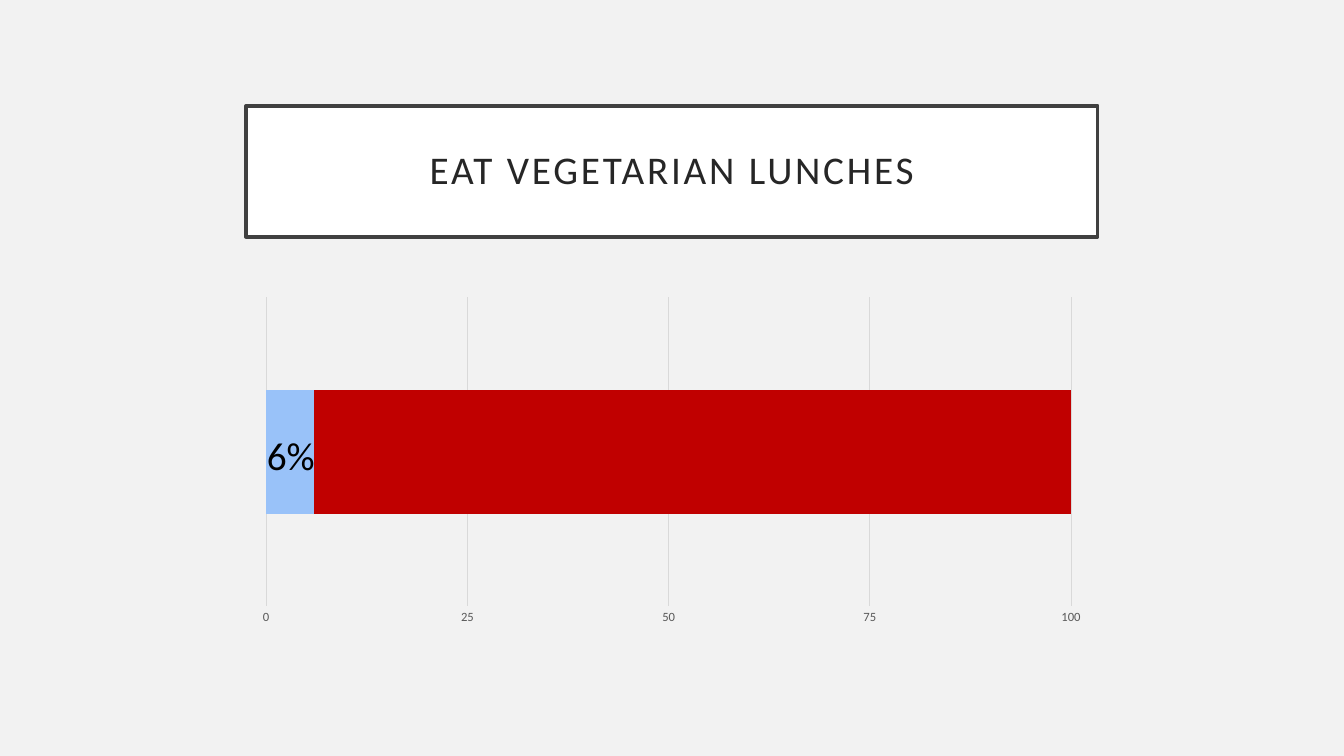
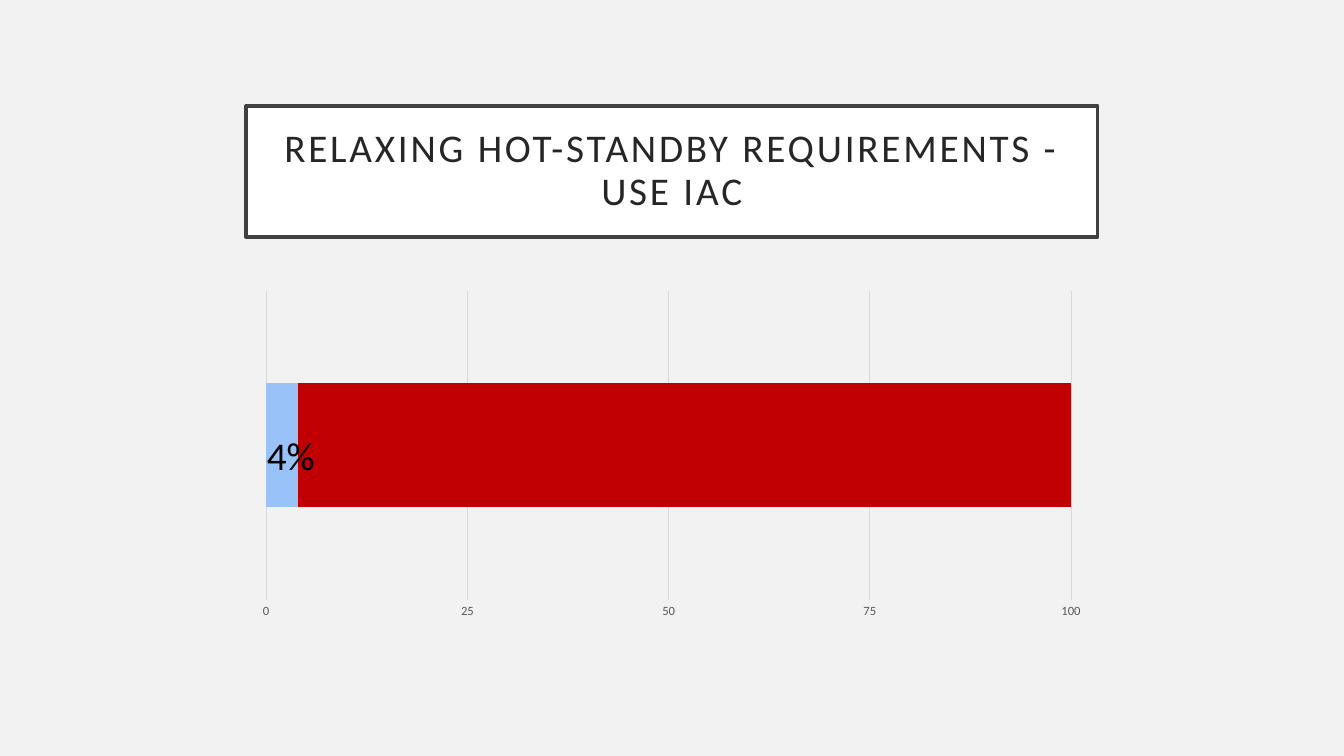
from pptx import Presentation
from pptx.chart.data import CategoryChartData
from pptx.dml.color import RGBColor
from pptx.enum.chart import XL_CHART_TYPE as ChartType, XL_TICK_MARK as TickMark
from pptx.enum.shapes import MSO_SHAPE as Shape
from pptx.enum.text import MSO_ANCHOR as Anchor, PP_ALIGN as Align
from pptx.util import Pt

BACKGROUND = RGBColor(0xF2, 0xF2, 0xF2)
WHITE = RGBColor(0xFF, 0xFF, 0xFF)
BLACK = RGBColor(0x00, 0x00, 0x00)
FRAME = RGBColor(0x40, 0x40, 0x40)
TITLE_TEXT = RGBColor(0x26, 0x26, 0x26)
AXIS_TEXT = RGBColor(0x59, 0x59, 0x59)
GRID = RGBColor(0xD9, 0xD9, 0xD9)
BLUE = RGBColor(0x99, 0xC2, 0xF9)
RED = RGBColor(0xC0, 0x00, 0x00)

FONT = "Calibri"
LEFT, WIDTH = 175.7, 608.4
TITLE_TOP, TITLE_HEIGHT = 75.6, 93.6
CHART_HEIGHT = 244
LABEL_BOX = (183.6, 304.6, 64, 41)

# title, percentage, top of the chart
SLIDES = [
    ("EAT VEGETARIAN LUNCHES", 6, 207.4),
    ("RELAXING HOT-STANDBY REQUIREMENTS - USE IAC", 4, 202.8),
]


def set_font(font, size, color):
    font.name = FONT
    font.size = Pt(size)
    font.color.rgb = color


def add_title(s, text, left, top, width, height):
    sp = s.shapes.add_shape(Shape.RECTANGLE, Pt(left), Pt(top), Pt(width), Pt(height))
    sp.shadow.inherit = False
    sp.fill.solid()
    sp.fill.fore_color.rgb = WHITE
    sp.line.color.rgb = FRAME
    sp.line.width = Pt(2.5)
    tf = sp.text_frame
    tf.word_wrap = True
    tf.vertical_anchor = Anchor.MIDDLE
    tf.margin_left = tf.margin_right = tf.margin_top = tf.margin_bottom = Pt(14.4)
    tf.text = text
    p = tf.paragraphs[0]
    p.alignment = Align.CENTER
    p.line_spacing = 0.9
    r = p.runs[0]
    set_font(r.font, 28, TITLE_TEXT)
    r.font._element.set("spc", "200")


def add_share_bar(s, percent, left, top, width, height):
    """One stacked bar that splits 100 into the share and the rest."""
    data = CategoryChartData()
    data.categories = ["1"]
    data.add_series("Series 1", [percent])
    data.add_series("Series 2", [100 - percent])
    chart = s.shapes.add_chart(ChartType.BAR_STACKED, Pt(left), Pt(top),
                               Pt(width), Pt(height), data).chart
    set_font(chart.font, 10, BLACK)
    chart.has_legend = False
    chart.has_title = False
    chart.category_axis.visible = False

    axis = chart.value_axis
    axis.minimum_scale, axis.maximum_scale, axis.major_unit = 0, 100, 25
    axis.major_tick_mark = axis.minor_tick_mark = TickMark.NONE
    axis.format.line.fill.background()
    set_font(axis.tick_labels.font, 9, AXIS_TEXT)
    grid = axis.major_gridlines.format.line
    grid.color.rgb = GRID
    grid.width = Pt(0.75)

    plot = chart.plots[0]
    plot.vary_by_categories = False
    plot.gap_width, plot.overlap = 150, 100
    for series, color in zip(plot.series, (BLUE, RED)):
        series.format.fill.solid()
        series.format.fill.fore_color.rgb = color


def add_label(s, text, left, top, width, height):
    tf = s.shapes.add_textbox(Pt(left), Pt(top), Pt(width), Pt(height)).text_frame
    tf.word_wrap = True
    tf.text = text
    set_font(tf.paragraphs[0].runs[0].font, 28, BLACK)


def add_share_slide(prs, title, percent, chart_top):
    s = prs.slides.add_slide(prs.slide_layouts[6])
    s.background.fill.solid()
    s.background.fill.fore_color.rgb = BACKGROUND
    add_share_bar(s, percent, LEFT, chart_top, WIDTH, CHART_HEIGHT)
    add_title(s, title, LEFT, TITLE_TOP, WIDTH, TITLE_HEIGHT)
    add_label(s, f"{percent}%", *LABEL_BOX)


def main():
    prs = Presentation()
    prs.slide_width, prs.slide_height = Pt(960), Pt(540)
    for title, percent, chart_top in SLIDES:
        add_share_slide(prs, title, percent, chart_top)
    prs.save("out.pptx")


if __name__ == "__main__":
    main()
